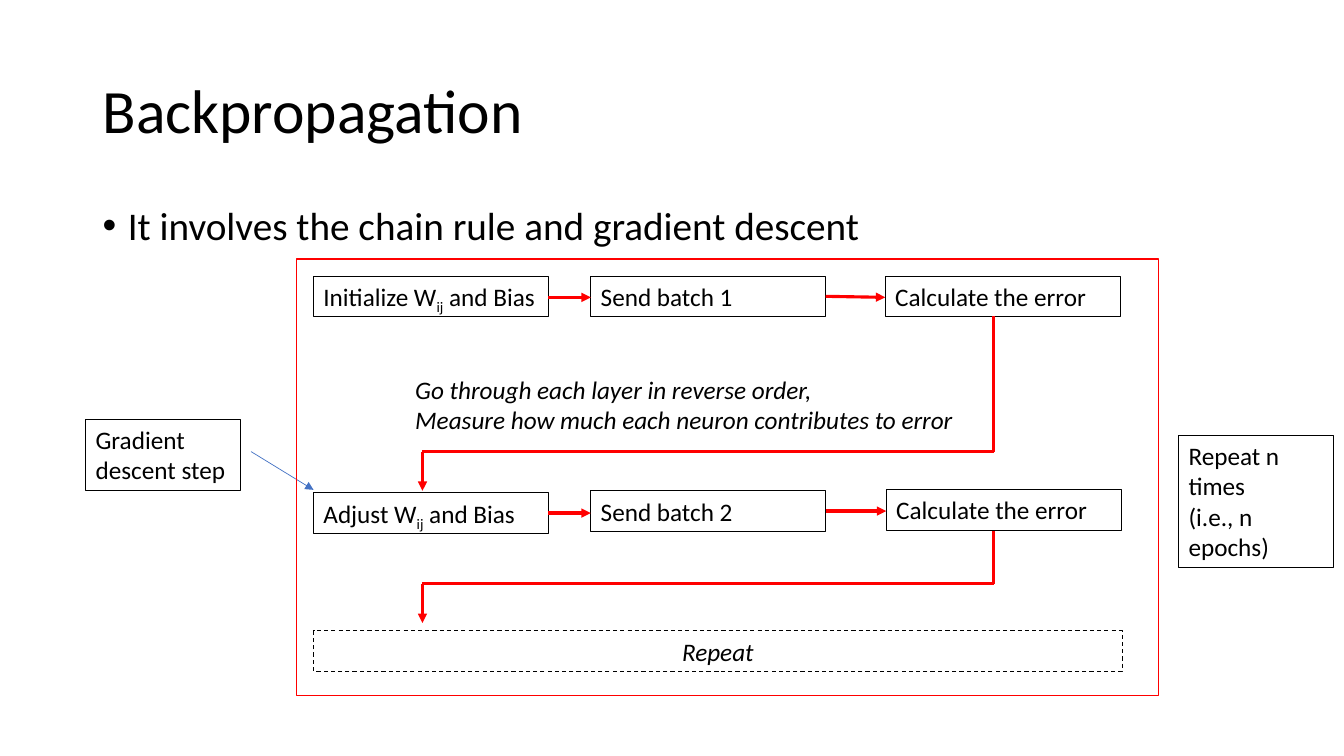
from lxml import etree
from pptx import Presentation
from pptx.dml.color import RGBColor
from pptx.enum.dml import MSO_LINE
from pptx.enum.shapes import MSO_CONNECTOR, MSO_SHAPE
from pptx.enum.text import MSO_ANCHOR, PP_ALIGN
from pptx.oxml.ns import qn
from pptx.util import Inches, Pt

STRAIGHT = MSO_CONNECTOR.STRAIGHT
RECTANGLE = MSO_SHAPE.RECTANGLE
DASH = MSO_LINE.DASH
TOP, MIDDLE = MSO_ANCHOR.TOP, MSO_ANCHOR.MIDDLE
LEFT, CENTER = PP_ALIGN.LEFT, PP_ALIGN.CENTER
BLACK, RED, BLUE = "000000", "FF0000", "4472C4"

prs = Presentation()
prs.slide_width, prs.slide_height = Inches(13.33), Inches(7.5)
slide = prs.slides.add_slide(prs.slide_layouts[6])


def paint(color_format, value):
    color_format.rgb = RGBColor.from_string(value)


def add_text(text, x, y, w, h, size=18, italic=False, align=LEFT, anchor=TOP,
             spacing=1.0, border=None, dash=None):
    box = slide.shapes.add_textbox(Inches(x), Inches(y), Inches(w), Inches(h))
    if border:
        paint(box.line.color, border)
        box.line.width = Pt(0.75)
        if dash:
            box.line.dash_style = dash
    frame = box.text_frame
    frame.word_wrap = True
    frame.vertical_anchor = anchor
    for number, line in enumerate(text.split("\n")):
        paragraph = frame.add_paragraph() if number else frame.paragraphs[0]
        paragraph.alignment = align
        paragraph.line_spacing = spacing
        for index, part in enumerate(line.split("|")):
            run = paragraph.add_run()
            run.text = part
            run.font.name = "Calibri"
            run.font.size = Pt(size)
            run.font.italic = italic
            paint(run.font.color, BLACK)
            if index % 2:
                run.font._element.set("baseline", "-25000")
    return frame


add_text("Backpropagation", 0.92, 0.4, 11.5, 1.45, size=44, anchor=MIDDLE, spacing=0.9)

summary = add_text("It involves the chain rule and gradient descent",
                   0.92, 2, 11.5, 4.76, size=28, spacing=0.9).paragraphs[0]
summary.space_before = Pt(10)
bullet_props = summary._p.get_or_add_pPr()
bullet_props.set("marL", str(Inches(0.25)))
bullet_props.set("indent", str(Inches(-0.25)))
etree.SubElement(bullet_props, qn("a:buFont")).set("typeface", "Arial")
etree.SubElement(bullet_props, qn("a:buChar")).set("char", "•")

steps = [
    ("Initialize W|ij| and Bias", 3.11, 2.74),
    ("Send batch 1", 5.86, 2.74),
    ("Calculate the error", 8.78, 2.74),
    ("Adjust W|ij| and Bias", 3.11, 4.89),
    ("Send batch 2", 5.86, 4.87),
    ("Calculate the error", 8.79, 4.86),
]
for step, x, y in steps:
    add_text(step, x, y, 2.33, 0.4, border=BLACK)

flow = [
    (5.44, 2.95, 5.86, 2.95, RED, 2.25, True),
    (8.19, 2.94, 8.78, 2.95, RED, 2.25, True),
    (5.44, 5.09, 5.86, 5.09, RED, 2.25, True),
    (8.19, 5.07, 8.79, 5.07, RED, 2.25, True),
    (2.49, 4.48, 3.11, 4.86, BLUE, 0.5, True),
]
for error_bottom, turn in ((3.14, 4.48), (5.27, 5.79)):
    flow += [
        (9.85, error_bottom, 9.85, turn, RED, 2.25, False),
        (9.86, turn, 4.19, turn, RED, 2.25, False),
        (4.19, turn, 4.19, turn + 0.39, RED, 2.25, True),
    ]
for x1, y1, x2, y2, color, width, has_arrow in flow:
    link = slide.shapes.add_connector(STRAIGHT, Inches(x1), Inches(y1), Inches(x2), Inches(y2))
    paint(link.line.color, color)
    link.line.width = Pt(width)
    if has_arrow:
        etree.SubElement(link.line._get_or_add_ln(), qn("a:tailEnd")).set("type", "triangle")
    etree.SubElement(link._element.spPr, qn("a:effectLst"))

epoch_frame = slide.shapes.add_shape(RECTANGLE, Inches(2.94), Inches(2.57), Inches(8.55), Inches(4.33))
epoch_frame.shadow.inherit = False
epoch_frame.fill.background()
paint(epoch_frame.line.color, RED)
epoch_frame.line.width = Pt(1)

add_text("Go through each layer in reverse order,\nMeasure how much each neuron contributes to error",
         4.02, 3.66, 5.67, 0.71, italic=True)
add_text("Gradient descent step", 0.85, 4.16, 1.54, 0.71, border=BLACK)
add_text("Repeat", 3.11, 6.26, 8.02, 0.4, italic=True, align=CENTER, border=BLACK, dash=DASH)
add_text("Repeat n times\n(i.e., n epochs)", 11.69, 4.32, 1.54, 1.31, border=BLACK)

prs.save("out.pptx")
